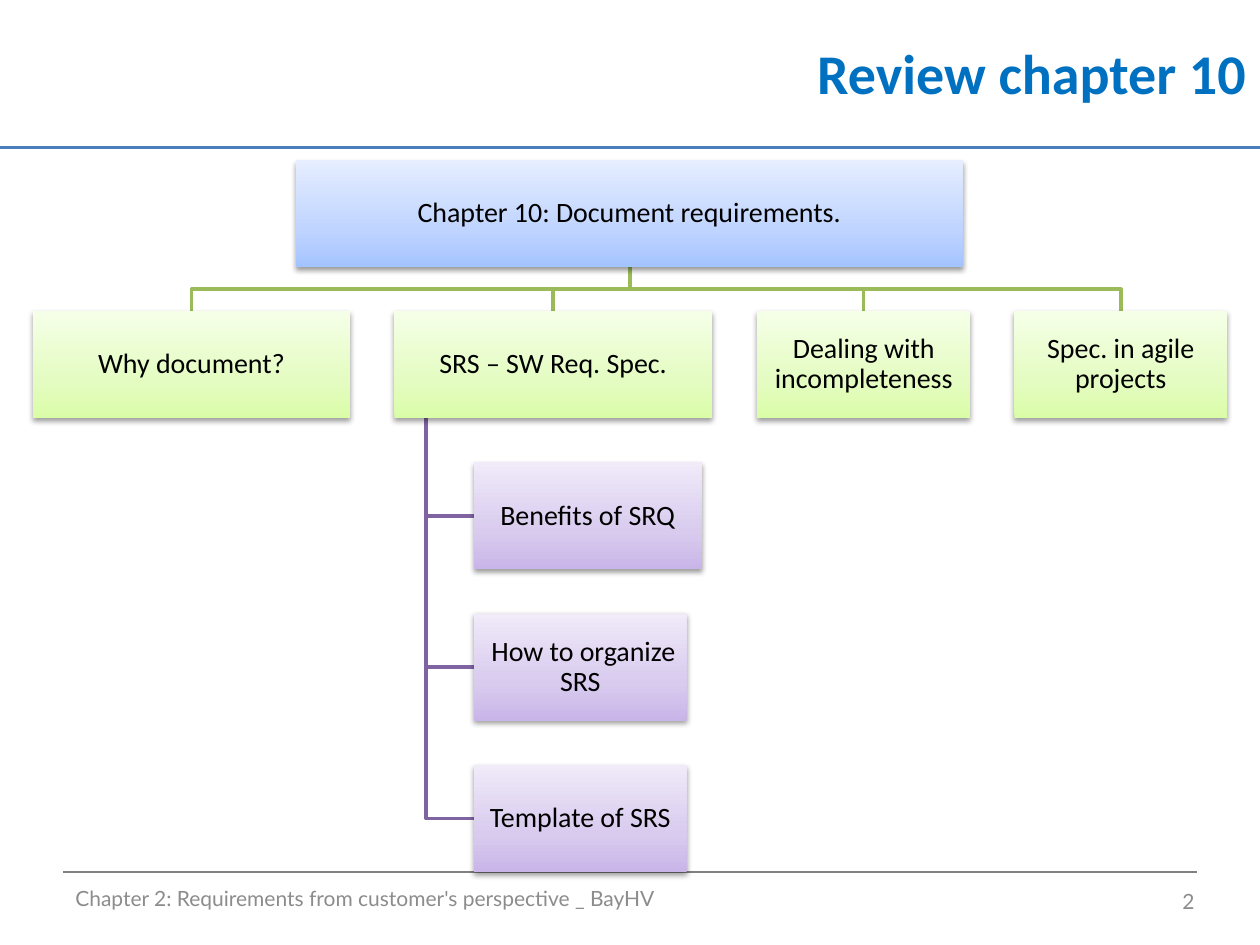
"""Build the chapter 10 review slide with its topic tree."""
from copy import deepcopy

from lxml import etree
from pptx import Presentation
from pptx.dml.color import RGBColor
from pptx.enum.shapes import MSO_CONNECTOR, MSO_SHAPE
from pptx.enum.text import MSO_ANCHOR, PP_ALIGN
from pptx.oxml import parse_xml
from pptx.oxml.ns import qn
from pptx.util import Inches, Pt

RECT = MSO_SHAPE.RECTANGLE
STRAIGHT = MSO_CONNECTOR.STRAIGHT
MIDDLE = MSO_ANCHOR.MIDDLE
LEFT, CENTER, RIGHT = PP_ALIGN.LEFT, PP_ALIGN.CENTER, PP_ALIGN.RIGHT

COLORS = {
    "title": "0070C0", "rule": "4B7EBC", "base": "808080", "foot": "8C8C8C",
    "text": "000000", "green": "9BBB59", "violet": "8064A2",
}
FADES = {
    "root": ("A4C4FF", "BFD4FF", "E6EEFF"),
    "topic": ("DAFDA7", "E4FCC2", "F5FFE7"),
    "part": ("C9B5E8", "D8CBEE", "F0EAF9"),
}
STYLES = {
    "title": {"name": "Calibri", "size": Pt(32), "bold": True},
    "foot": {"name": "Lato", "size": Pt(12)},
    "text": {"name": "Calibri", "size": Pt(16)},
}
SHADOW = (
    '<a:outerShdw xmlns:a="http://schemas.openxmlformats.org/drawingml/2006/main"'
    ' blurRad="40000" dist="20000" dir="5400000" rotWithShape="0">'
    '<a:srgbClr val="000000"><a:alpha val="38000"/></a:srgbClr></a:outerShdw>'
)
HIGH = 0.85
ROOT = (2.35, 1.27, 5.29, "Chapter 10: Document requirements.")
ROW = 2.47
TOPICS = [
    (0.26, 2.52, "Why document?"),
    (3.13, 2.52, "SRS – SW Req. Spec."),
    (6.01, 1.69, "Dealing with incompleteness"),
    (8.05, 1.69, "Spec. in agile projects"),
]
STEM, INDENT, STEP = 3.38, 3.76, 1.2
PARTS = [
    (1.81, "Benefits of SRQ"),
    (1.69, " How to organize SRS"),
    (1.69, "Template of SRS"),
]


def put_text(shape, text, kind, align):
    frame = shape.text_frame
    frame.word_wrap = True
    frame.vertical_anchor = MIDDLE
    frame.text = text
    para = frame.paragraphs[0]
    para.alignment = align
    for key, value in STYLES[kind].items():
        setattr(para.font, key, value)
    para.font.color.rgb = RGBColor.from_string(COLORS[kind])
    return frame


prs = Presentation()
prs.slide_width, prs.slide_height = Inches(10), Inches(7.5)
slide = prs.slides.add_slide(prs.slide_layouts[5])
shapes = slide.shapes

for x1, x2, y, tone in [(0, 10, 1.17, "rule"), (0.5, 9.5, 6.92, "base")]:
    rule = shapes.add_connector(STRAIGHT, Inches(x1), Inches(y), Inches(x2), Inches(y))
    rule.line.color.rgb = RGBColor.from_string(COLORS[tone])
    rule.line.width = Pt(1.5 if tone == "rule" else 0.75)
    etree.SubElement(rule._element.spPr, qn("a:effectLst"))

title = shapes.title
title.left, title.top = Inches(2.9), Inches(0)
title.width, title.height = Inches(7.09), Inches(1.15)
put_text(title, "Review chapter 10", "title", RIGHT)

for x, y, width, text, align in [
    (0.5, 6.93, 6.67, "Chapter 2: Requirements from customer's perspective _ BayHV", LEFT),
    (7.25, 6.95, 2.33, "2", RIGHT),
]:
    note = shapes.add_textbox(Inches(x), Inches(y), Inches(width), Inches(0.4))
    put_text(note, text, "foot", align)

boxes = [(*ROOT, "root")]
links = []
foot = ROOT[1] + HIGH
fork = (foot + ROW) / 2
for x, width, text in TOPICS:
    boxes.append((x, ROW, width, text, "topic"))
    mid = x + width / 2
    links.append(([(5, foot), (5, fork), (mid, fork), (mid, ROW)], "green"))
for i, (width, text) in enumerate(PARTS, 1):
    y = ROW + i * STEP
    boxes.append((INDENT, y, width, text, "part"))
    mid = y + HIGH / 2
    links.append(([(STEM, ROW + HIGH), (STEM, mid), (INDENT, mid)], "violet"))

for points, tone in links:
    spots = [(Inches(x), Inches(y)) for x, y in points]
    pen = shapes.build_freeform(*spots[0])
    pen.add_line_segments(spots[1:], close=False)
    link = pen.convert_to_shape()
    link.shadow.inherit = False
    link.fill.background()
    link.line.color.rgb = RGBColor.from_string(COLORS[tone])
    link.line.width = Pt(2)

for x, y, width, text, level in boxes:
    box = shapes.add_shape(RECT, Inches(x), Inches(y), Inches(width), Inches(HIGH))
    box.line.fill.background()
    box.shadow.inherit = False
    box._element.spPr.find(qn("a:effectLst")).append(parse_xml(SHADOW))
    box.fill.gradient()
    box.fill.gradient_angle = 90
    first = box._element.spPr.find(".//" + qn("a:gs"))
    first.addnext(deepcopy(first))
    for stop, spot, tone in zip(box.fill.gradient_stops, (0, 0.35, 1), FADES[level]):
        stop.position = spot
        stop.color.rgb = RGBColor.from_string(tone)
    frame = put_text(box, text, "text", CENTER)
    frame.paragraphs[0].line_spacing = 0.9
    for side in ("left", "top", "right", "bottom"):
        setattr(frame, "margin_" + side, Inches(0.01))

prs.save("out.pptx")
